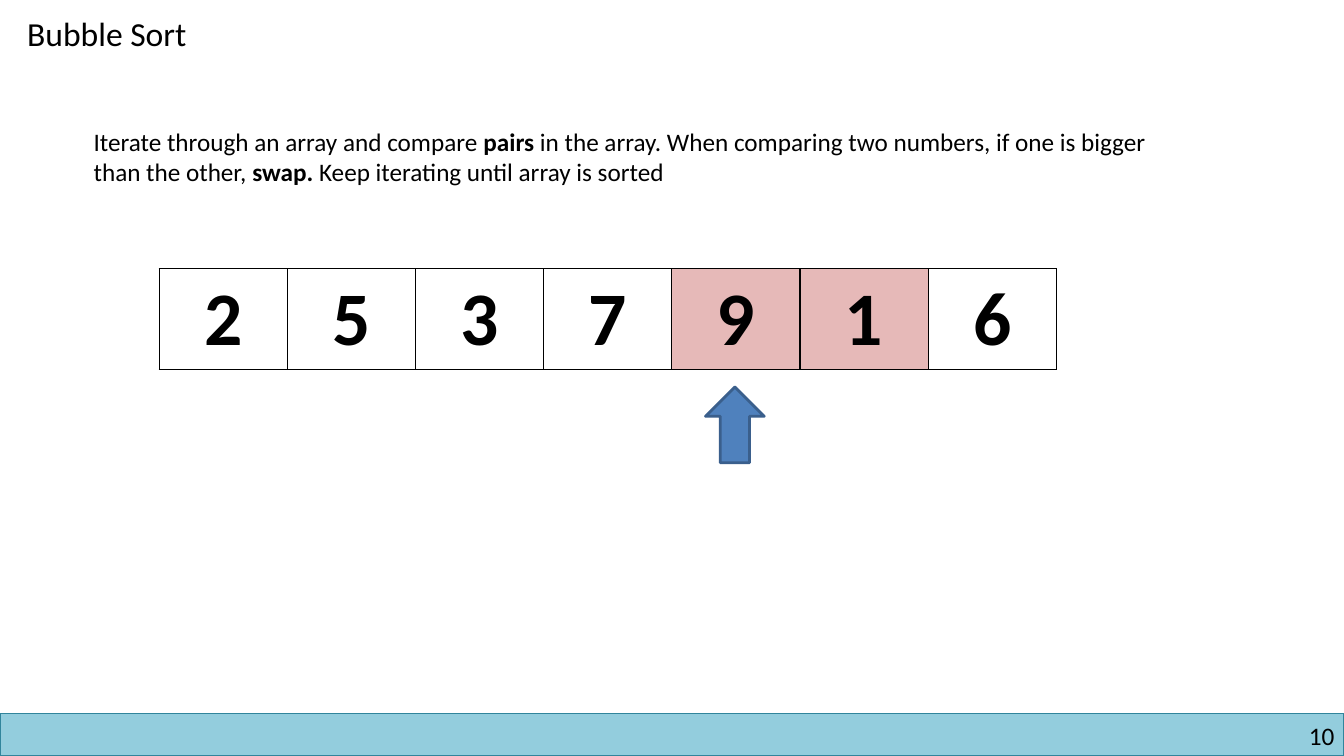
from lxml import etree
from pptx import Presentation
from pptx.dml.color import RGBColor
from pptx.enum.shapes import MSO_SHAPE
from pptx.enum.text import MSO_ANCHOR, PP_ALIGN
from pptx.oxml import parse_xml
from pptx.oxml.ns import nsdecls, qn
from pptx.util import Cm, Pt

BLACK = RGBColor(0x00, 0x00, 0x00)
WHITE = RGBColor(0xFF, 0xFF, 0xFF)
PINK = RGBColor(0xE6, 0xB9, 0xB8)
AQUA = RGBColor(0x93, 0xCD, 0xDD)
TEAL = RGBColor(0x31, 0x85, 0x9C)
BLUE = RGBColor(0x4F, 0x81, 0xBD)
NAVY = RGBColor(0x3A, 0x5F, 0x8C)

RECT = MSO_SHAPE.RECTANGLE
ARROW = MSO_SHAPE.DOWN_ARROW
TOP = MSO_ANCHOR.TOP
LEFT, CENTER, RIGHT = PP_ALIGN.LEFT, PP_ALIGN.CENTER, PP_ALIGN.RIGHT

WIDTH, HEIGHT = 33.87, 19.05
NUMBERS = [2, 5, 3, 7, 9, 1, 6]
PAIR = (4, 5)
CELL = 3.23
TABLE_X, TABLE_Y = 4.01, 6.77


class Page:
    font = "Calibri"

    def __init__(self, deck):
        self.slide = deck.slides.add_slide(deck.slide_layouts[5])
        self.shapes = self.slide.shapes

    def style(self, run, size, bold=False):
        run.font.name = self.font
        run.font.size = Pt(size)
        run.font.bold = bold
        run.font.color.rgb = BLACK

    def put(self, frame, parts, size, align=LEFT):
        para = frame.paragraphs[0]
        para.alignment = align
        for text, bold in parts:
            run = para.add_run()
            run.text = text
            self.style(run, size, bold)

    def title(self, text, box, size):
        title = self.shapes.title
        title.left, title.top, title.width, title.height = map(Cm, box)
        frame = title.text_frame
        frame.vertical_anchor = TOP
        frame.word_wrap = False
        self.put(frame, [(text, False)], size)

    def text(self, parts, box, size, align=LEFT, inset=None):
        frame = self.shapes.add_textbox(*map(Cm, box)).text_frame
        frame.word_wrap = True
        if inset is not None:
            frame.margin_left = frame.margin_right = Cm(inset)
            frame.margin_top = frame.margin_bottom = Cm(inset)
        self.put(frame, parts, size, align)

    def shape(self, kind, box, fill, line, weight, turn=0):
        shape = self.shapes.add_shape(kind, *map(Cm, box))
        shape.shadow.inherit = False
        shape.fill.solid()
        shape.fill.fore_color.rgb = fill
        shape.line.color.rgb = line
        shape.line.width = Pt(weight)
        shape.rotation = turn

    def border(self, cell):
        props = cell._tc.get_or_add_tcPr()
        for side in ("lnL", "lnR", "lnT", "lnB"):
            line = parse_xml(f'<a:{side} {nsdecls("a")} w="{Pt(1)}"/>')
            fill = etree.SubElement(line, qn("a:solidFill"))
            etree.SubElement(fill, qn("a:srgbClr"), val=str(BLACK))
            props.append(line)

    def array(self, values, marked, box, size):
        table = self.shapes.add_table(1, len(values), *map(Cm, box)).table
        table.first_row = False
        table.horz_banding = False
        for i, value in enumerate(values):
            cell = table.cell(0, i)
            self.border(cell)
            cell.fill.solid()
            cell.fill.fore_color.rgb = PINK if i in marked else WHITE
            self.put(cell.text_frame, [(str(value), True)], size, CENTER)


def main():
    deck = Presentation()
    deck.slide_width, deck.slide_height = Cm(WIDTH), Cm(HEIGHT)
    page = Page(deck)
    page.shape(RECT, (0, 17.98, WIDTH, 1.07), AQUA, TEAL, 1)
    page.text([("10", False)], (25.83, 18.16, 7.8, 0.76), 18, RIGHT, 0)
    page.title("Bubble Sort", (0.43, 0.2, 4.98, 1.27), 24)
    page.text([
        ("Iterate through an array and compare ", False),
        ("pairs", True),
        (" in the array. When comparing two numbers, if one is bigger "
         "than the other, ", False),
        ("swap. ", True),
        ("Keep iterating until array is sorted", False),
    ], (2.11, 3.05, 28.14, 1.8), 18)
    page.array(NUMBERS, PAIR,
               (TABLE_X, TABLE_Y, CELL * len(NUMBERS), 2.54), 54)
    page.shape(ARROW, (17.78, 9.75, 1.48, 1.91), BLUE, NAVY, 2, 180)
    deck.save("out.pptx")


if __name__ == "__main__":
    main()
